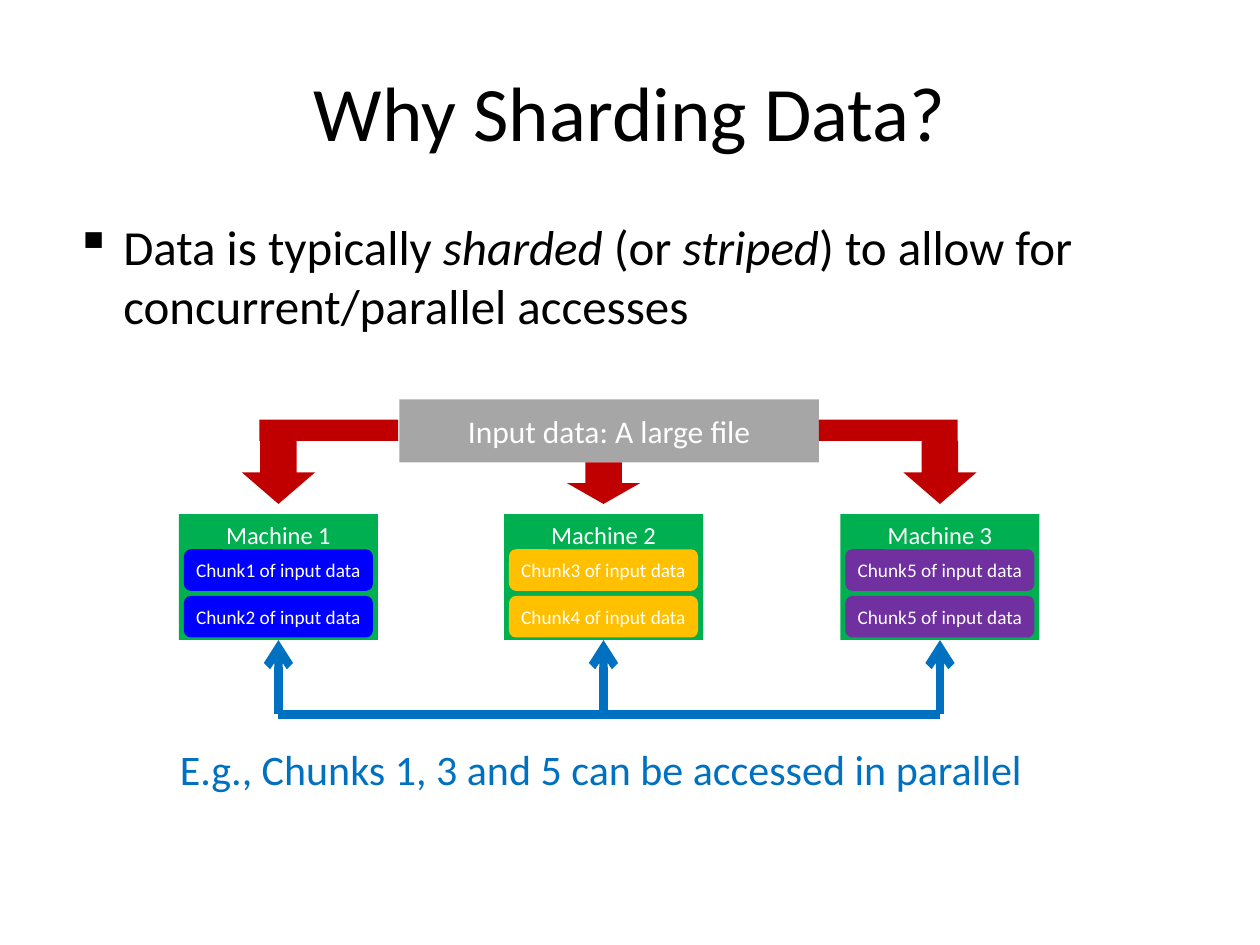
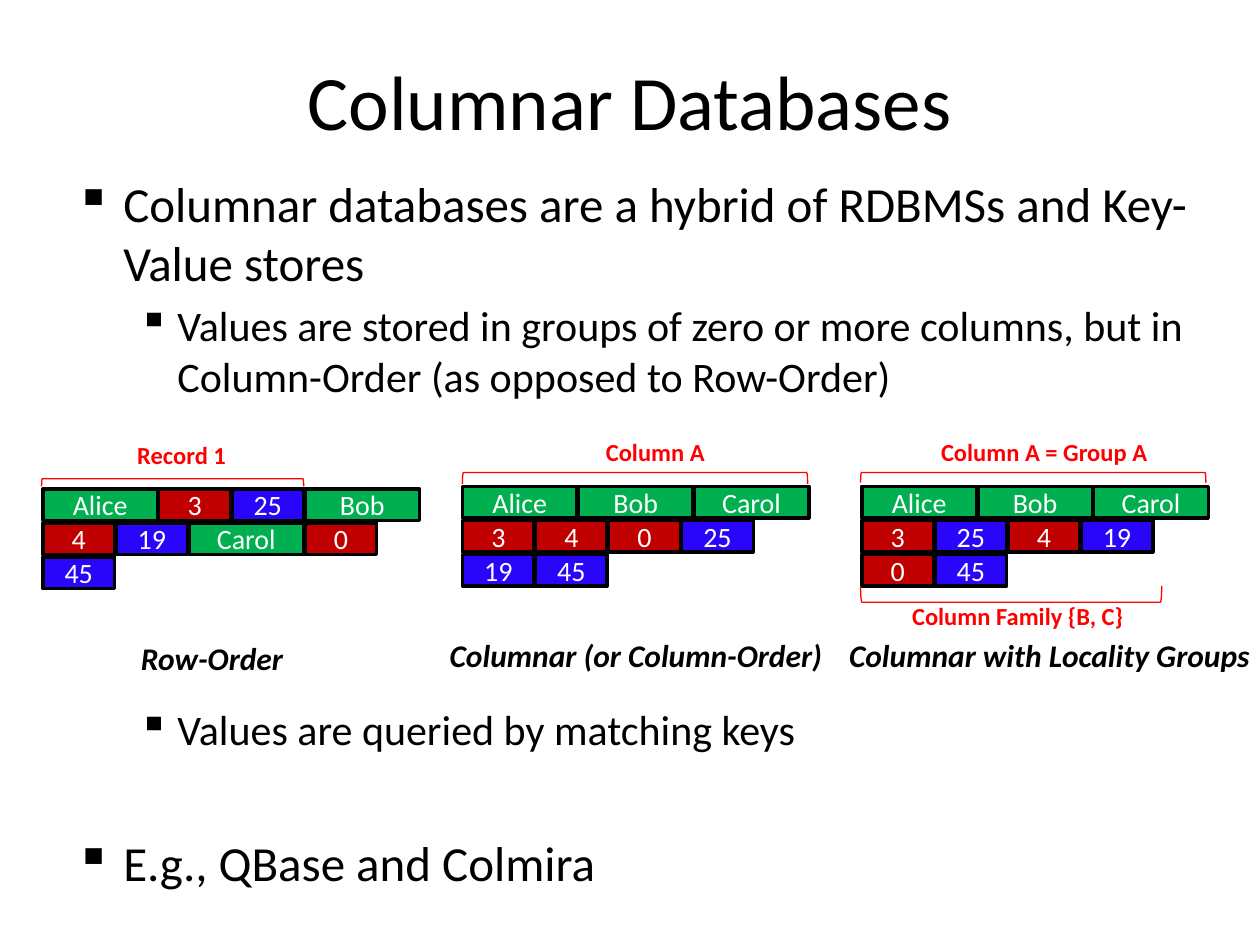
import dataclasses

import lxml.etree
import pptx
import pptx.dml.color
import pptx.enum.shapes
import pptx.enum.text
import pptx.oxml.ns
import pptx.util

Inches = pptx.util.Inches
Pt = pptx.util.Pt
Shape = pptx.enum.shapes.MSO_SHAPE
Anchor = pptx.enum.text.MSO_ANCHOR
Align = pptx.enum.text.PP_ALIGN
qn = pptx.oxml.ns.qn

# Shared look
FONT = "Calibri"
BLACK, WHITE, RED = "000000", "FFFFFF", "FF0000"
GREEN, CRIMSON, GRAY, AZURE = "00B050", "C00000", "A6A6A6", "0070C0"
INDIGO = "2906FA"


@dataclasses.dataclass
class Box:
    left: float
    top: float
    width: float
    height: float

    def emu(self) -> tuple:
        return tuple(Inches(v) for v in dataclasses.astuple(self))


@dataclasses.dataclass
class Bullet:
    words: list  # odd entries are italic
    level: int = 0
    gap: float = 0  # points before


@dataclasses.dataclass
class Machine:
    name: str
    left: float
    fill: str
    chunks: list
    neck: float  # top of the red arrow


@dataclasses.dataclass
class Label:
    text: str
    box: Box


@dataclasses.dataclass
class Brace:
    box: Box
    turn: int = 90


@dataclasses.dataclass
class Panel:
    left: float
    top: float
    rows: list
    name: Label
    notes: list
    braces: list


def tint(code: str):
    return pptx.dml.color.RGBColor.from_string(code)


def style(para, size: float, color: str, bold=None, slant=None) -> None:
    font = para.font
    font.name, font.size = FONT, Pt(size)
    font.bold, font.italic = bold, slant
    font.color.rgb = tint(color)


def start(deck, title: str, top: float):
    slide = deck.slides.add_slide(deck.slide_layouts[5])
    head = slide.shapes.title
    head.left, head.top, head.width, head.height = Box(0.5, top, 9, 1.25).emu()
    head.text_frame.text = title
    head.text_frame.vertical_anchor = Anchor.MIDDLE
    para = head.text_frame.paragraphs[0]
    para.alignment = Align.CENTER
    style(para, 44, BLACK)
    return slide


def block(slide, box: Box, fill: str, text="", size=18, kind=Shape.RECTANGLE,
          edge=None, anchor=Anchor.MIDDLE, side=0.1):
    shape = slide.shapes.add_shape(kind, *box.emu())
    shape.shadow.inherit = False
    shape.fill.solid()
    shape.fill.fore_color.rgb = tint(fill)
    if edge:
        shape.line.color.rgb = tint(edge)
        shape.line.width = Pt(2)
    else:
        shape.line.fill.background()
    if text:
        frame = shape.text_frame
        frame.text = text
        frame.vertical_anchor = anchor
        frame.margin_left = frame.margin_right = Inches(side)
        frame.paragraphs[0].alignment = Align.CENTER
        style(frame.paragraphs[0], size, WHITE)
    return shape


def label(slide, item: Label, size: float, color: str,
          bold=None, slant=None) -> None:
    frame = slide.shapes.add_textbox(*item.box.emu()).text_frame
    frame.word_wrap = False
    frame.auto_size = pptx.enum.text.MSO_AUTO_SIZE.SHAPE_TO_FIT_TEXT
    frame.text = item.text
    style(frame.paragraphs[0], size, color, bold, slant)


def body(slide, box: Box, items: list) -> None:
    frame = slide.shapes.add_textbox(*box.emu()).text_frame
    frame.word_wrap = True
    for i, item in enumerate(items):
        para = frame.add_paragraph() if i else frame.paragraphs[0]
        para.level = item.level
        para.space_before = Pt(item.gap)
        margin, hang, size = [(0.38, 0.38, 28), (0.81, 0.31, 24)][item.level]
        props = para._p.get_or_add_pPr()
        props.set("marL", str(Inches(margin)))
        props.set("indent", str(-Inches(hang)))
        lxml.etree.SubElement(props, qn("a:buChar")).set("char", "▪")
        style(para, size, BLACK)
        for j, word in enumerate(item.words):
            run = para.add_run()
            run.text = word
            if j % 2:
                run.font.italic = True


def link(slide, ends: tuple, head: bool = False):
    line = slide.shapes.add_connector(
        pptx.enum.shapes.MSO_CONNECTOR.STRAIGHT, *(Inches(v) for v in ends))
    line.line.color.rgb = tint(AZURE)
    line.line.width = Pt(4.75)
    if head:
        tail = lxml.etree.SubElement(line.line._get_or_add_ln(), qn("a:tailEnd"))
        tail.set("type", "arrow")
    lxml.etree.SubElement(line._element.spPr, qn("a:effectLst"))
    return line


def brace(slide, item: Brace) -> None:
    # The bracket is upright before its turn, so swap sides about the centre
    box = item.box
    mid, axis = box.left + box.width / 2, box.top + box.height / 2
    frame = Box(mid - box.height / 2, axis - box.width / 2,
                box.height, box.width)
    shape = slide.shapes.add_shape(Shape.LEFT_BRACKET, *frame.emu())
    shape.rotation = item.turn
    shape.shadow.inherit = False
    shape.fill.background()
    shape.line.color.rgb = tint(RED)
    shape.line.width = Pt(0.75)


def cells(slide, panel: Panel) -> None:
    for i, row in enumerate(panel.rows):
        left = panel.left
        for word in row.split():
            width = 0.91 if word.isalpha() else 0.57
            if word.isalpha():
                fill = GREEN
            else:
                fill = CRIMSON if len(word) == 1 else INDIGO
            box = Box(left, panel.top + 0.27 * i, width, 0.25)
            block(slide, box, fill, word, 16, edge=BLACK)
            left += width + 0.01


MACHINES = [
    Machine("Machine 1", 1.42, "0000FF", ["Chunk1", "Chunk2"], 3.5),
    Machine("Machine 2", 4, "FFC000", ["Chunk3", "Chunk4"], 3.67),
    Machine("Machine 3", 6.67, "7030A0", ["Chunk5", "Chunk5"], 3.5),
]

PANELS = [
    Panel(0.34, 3.88, ["Alice 3 25 Bob", "4 19 Carol 0", "45"],
          Label("Row-Order", Box(1.02, 5.02, 1.35, 0.4)),
          [Label("Record 1", Box(0.99, 3.44, 0.91, 0.34))],
          [Brace(Box(0.33, 3.8, 2.08, 0.06))]),
    Panel(3.67, 3.86, ["Alice Bob Carol", "3 4 0 25", "19 45"],
          Label("Columnar (or Column-Order)", Box(3.47, 5, 3.19, 0.4)),
          [Label("Column A", Box(4.71, 3.42, 0.99, 0.34))],
          [Brace(Box(3.67, 3.75, 2.74, 0.09))]),
    Panel(6.84, 3.86, ["Alice Bob Carol", "3 25 4 19", "0 45"],
          Label("Columnar with Locality Groups", Box(6.64, 5, 3.42, 0.4)),
          [Label("Column A = Group A", Box(7.37, 3.42, 1.85, 0.34)),
           Label("Column Family {B, C}", Box(7.14, 4.72, 1.89, 0.34))],
          [Brace(Box(6.83, 3.75, 2.74, 0.08)),
           Brace(Box(6.83, 4.65, 2.39, 0.13), 270)]),
]


def shards(deck) -> None:
    slide = start(deck, "Why Sharding Data?", 0.25)
    body(slide, Box(0.5, 1.67, 9.25, 5.75), [
        Bullet(["Data is typically ", "sharded", " (or ", "striped",
                ") to allow for concurrent/parallel accesses"])])

    # Input file and its two arms
    block(slide, Box(3.17, 3.17, 3.33, 0.5), GRAY, "Input data: A large file")
    for left in (2.06, 6.5):
        block(slide, Box(left, 3.33, 1.1, 0.17), CRIMSON)

    # Machines, their chunks and the arrows on both sides
    wide, top, floor, rail = 1.58, 4.08, 5.08, 5.67
    mids = [m.left + wide / 2 for m in MACHINES]
    for m, mid in zip(MACHINES, mids):
        block(slide, Box(m.left + 0.5, m.neck, 0.58, 4 - m.neck), CRIMSON,
              kind=Shape.DOWN_ARROW)
        host = block(slide, Box(m.left, top, wide, floor - top), GREEN,
                     m.name, 14, anchor=Anchor.TOP)
        for i, chunk in enumerate(m.chunks):
            block(slide, Box(m.left + 0.04, 4.36 + 0.37 * i, 1.5, 0.33),
                  m.fill, f"{chunk} of input data", 11,
                  Shape.ROUNDED_RECTANGLE, side=0)
        link(slide, (mid, rail, mid, floor), True).end_connect(host, 2)
    link(slide, (mids[0], rail, mids[-1], rail))
    label(slide, Label("E.g., Chunks 1, 3 and 5 can be accessed in parallel",
                       Box(1.33, 5.85, 6.94, 0.5)), 24, AZURE)


def columns(deck) -> None:
    slide = start(deck, "Columnar Databases", 0.17)
    body(slide, Box(0.5, 1.33, 9.25, 6), [
        Bullet(["Columnar databases are a hybrid of RDBMSs and "
                "Key-Value stores"]),
        Bullet(["Values are stored in groups of zero or more columns, but in "
                "Column-Order (as opposed to Row-Order)"], 1, 4.8),
        Bullet(["Values are queried by matching keys"], 1, 173),
        Bullet(["E.g., QBase and Colmira"], 0, 45)])
    for panel in PANELS:
        cells(slide, panel)
        for item in panel.braces:
            brace(slide, item)
        for note in panel.notes:
            label(slide, note, 14, RED, bold=True)
        label(slide, panel.name, 18, BLACK, bold=True, slant=True)


def main() -> None:
    deck = pptx.Presentation()
    deck.slide_width, deck.slide_height = Inches(10), Inches(7.5)
    shards(deck)
    columns(deck)
    deck.save("out.pptx")


if __name__ == "__main__":
    main()
